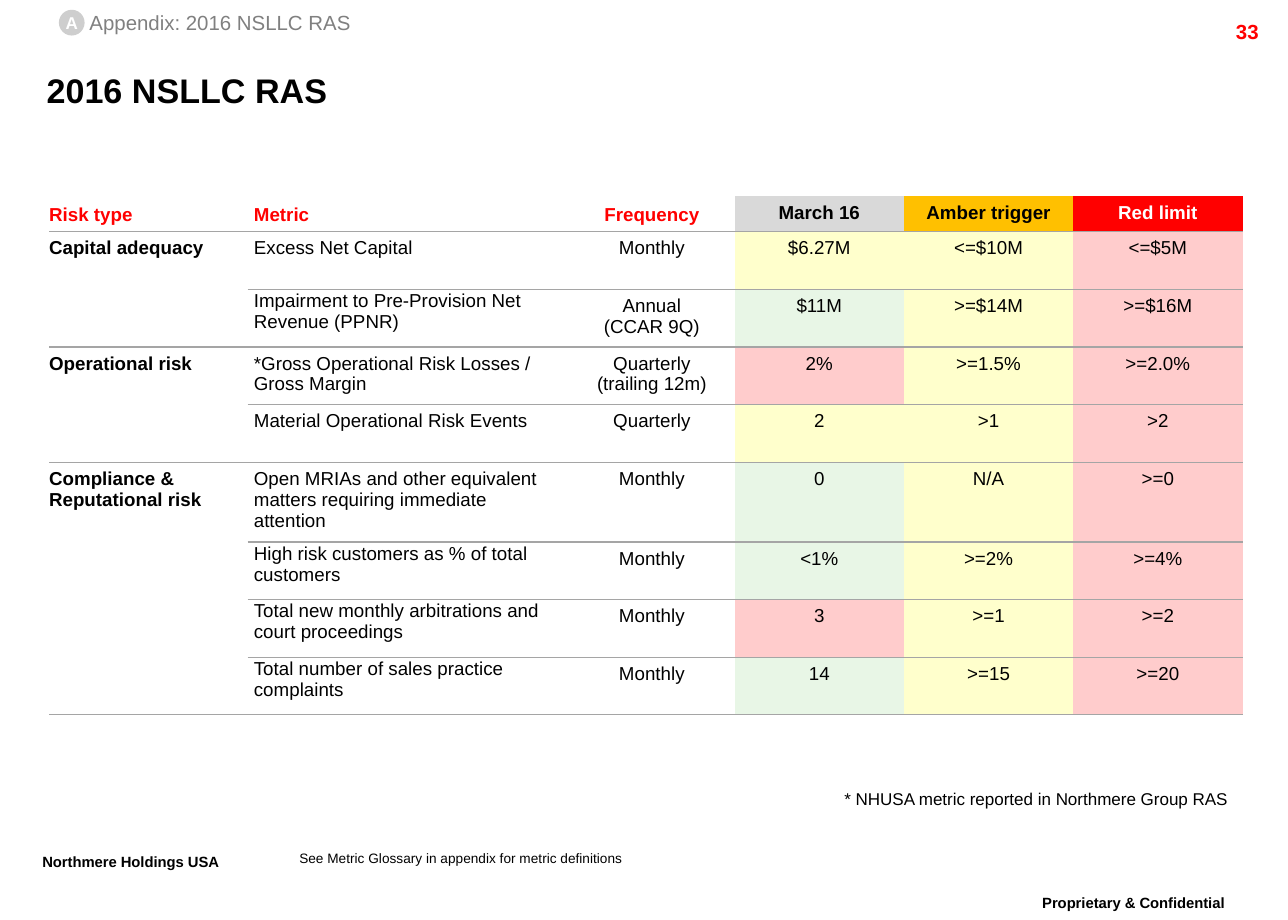
"""Build the 2016 risk appetite statement slide."""
from lxml.etree import SubElement
from pptx import Presentation
from pptx.dml.color import RGBColor
from pptx.enum.shapes import MSO_SHAPE
from pptx.enum.text import MSO_ANCHOR, MSO_AUTO_SIZE, PP_ALIGN
from pptx.oxml import parse_xml
from pptx.oxml.ns import nsdecls, qn
from pptx.util import Inches, Pt

BLACK = RGBColor(0x00, 0x00, 0x00)
WHITE = RGBColor(0xFF, 0xFF, 0xFF)
RED = RGBColor(0xFF, 0x00, 0x00)
AMBER = RGBColor(0xFF, 0xC0, 0x00)
SILVER = RGBColor(0xD9, 0xD9, 0xD9)
BADGE_GRAY = RGBColor(0xCE, 0xCE, 0xCE)
TEXT_GRAY = RGBColor(0x80, 0x80, 0x80)
RULE_GRAY = RGBColor(0xA5, 0xA5, 0xA5)
PALE_GREEN = RGBColor(0xE8, 0xF6, 0xE6)
PALE_YELLOW = RGBColor(0xFF, 0xFF, 0xCC)
PALE_RED = RGBColor(0xFF, 0xCC, 0xCC)

LEFT, CENTER, RIGHT = PP_ALIGN.LEFT, PP_ALIGN.CENTER, PP_ALIGN.RIGHT
SIDES = ("margin_left", "margin_top", "margin_right", "margin_bottom")
NO_GRID_STYLE = "{2D5ABB26-0587-4C30-8999-92F81FD0307C}"
NO_INSETS = (0, 0, 0, 0)
BOX_INSETS = (0.1, 0.05, 0.1, 0.05)
CELL_INSETS = (0.05, 0.05, 0.05, 0.05)
LABEL_INSETS = (0, 0.05, 0.05, 0.05)
TIGHT_INSETS = (0.05, 0.01, 0.01, 0)

COLUMN_WIDTHS = (1.62, 2.62, 1.35, 1.38, 1.38, 1.38)
HEADER_HEIGHT, METRIC_HEIGHT, TALL_HEIGHT = 0.29, 0.47, 0.65
HEADERS = (
    ("Risk type", RED, None),
    ("Metric", RED, None),
    ("Frequency", RED, None),
    ("March 16", BLACK, SILVER),
    ("Amber trigger", BLACK, AMBER),
    ("Red limit", WHITE, RED),
)
RISK_TYPES = (
    ("Capital adequacy", 1, 2),
    ("Operational risk", 3, 4),
    ("Compliance & Reputational risk", 5, 8),
)
METRICS = (
    ("Excess Net Capital", "Monthly", "$6.27M", "<=$10M", "<=$5M", PALE_YELLOW),
    ("Impairment to Pre-Provision Net Revenue (PPNR)", "Annual\n(CCAR 9Q)",
     "$11M", ">=$14M", ">=$16M", PALE_GREEN),
    ("*Gross Operational Risk Losses / Gross Margin", "Quarterly\n(trailing 12m)",
     "2%", ">=1.5%", ">=2.0%", PALE_RED),
    ("Material Operational Risk Events", "Quarterly", "2", ">1", ">2", PALE_YELLOW),
    ("Open MRIAs and other equivalent matters requiring immediate attention",
     "Monthly", "0", "N/A", ">=0", PALE_GREEN),
    ("High risk customers as % of total customers", "Monthly",
     "<1%", ">=2%", ">=4%", PALE_GREEN),
    ("Total new monthly arbitrations and court proceedings", "Monthly",
     "3", ">=1", ">=2", PALE_RED),
    ("Total number of sales practice complaints", "Monthly",
     "14", ">=15", ">=20", PALE_GREEN),
)
TALL_ROW = 5
TIGHT_ROWS = (2, 6, 7, 8)


def apply(target, formats):
    """Set every attribute named in the dict."""
    for attribute, value in formats.items():
        setattr(target, attribute, value)


class SlideBuilder:
    """Holds the style and the current slide."""

    font_name = "Arial"

    def __init__(self, slide):
        """Keep the slide to draw on."""
        self.slide = slide

    def fill_text(self, frame, text, size, color, bold=False, align=LEFT,
                  spacing=None, raised=False):
        """Fill a text frame and format its paragraphs."""
        frame.text = text
        for paragraph in frame.paragraphs:
            apply(paragraph, {"alignment": align, "line_spacing": spacing})
            for run in paragraph.runs:
                apply(run.font, {"name": self.font_name, "size": Pt(size), "bold": bold})
                run.font.color.rgb = color
                if raised:
                    run._r.get_or_add_rPr().set("baseline", "30000")

    def inset(self, target, insets):
        """Set the four inner margins."""
        apply(target, {side: Inches(value) for side, value in zip(SIDES, insets)})

    def frame(self, frame, insets, wrap, anchor):
        """Set the layout of a text frame."""
        self.inset(frame, insets)
        apply(frame, {"word_wrap": wrap, "vertical_anchor": anchor,
                      "auto_size": MSO_AUTO_SIZE.NONE})

    def title(self, place, text):
        """Move and fill the title placeholder."""
        heading = self.slide.shapes.title
        apply(heading, dict(zip(("left", "top", "width", "height"), map(Inches, place))))
        self.fill_text(heading.text_frame, text, 20, BLACK, True)
        self.frame(heading.text_frame, NO_INSETS, True, MSO_ANCHOR.MIDDLE)

    def text(self, place, text, size, color=BLACK, insets=BOX_INSETS, wrap=True,
             anchor=MSO_ANCHOR.TOP, **formats):
        """Add a text box."""
        box = self.slide.shapes.add_textbox(*map(Inches, place))
        self.fill_text(box.text_frame, text, size, color, **formats)
        self.frame(box.text_frame, insets, wrap, anchor)

    def badge(self, place, letter):
        """Add a round section marker."""
        disc = self.slide.shapes.add_shape(MSO_SHAPE.OVAL, *map(Inches, place))
        disc.shadow.inherit = False
        disc.fill.solid()
        disc.fill.fore_color.rgb = BADGE_GRAY
        disc.line.fill.background()
        self.fill_text(disc.text_frame, letter, 10, WHITE, True, CENTER)
        self.frame(disc.text_frame, NO_INSETS, False, MSO_ANCHOR.MIDDLE)

    def rule_below(self, cell):
        """Draw the bottom border of a cell."""
        cell._tc.get_or_add_tcPr().insert(0, parse_xml(
            f'<a:lnB {nsdecls("a")} w="{Pt(0.75)}"><a:solidFill>'
            f'<a:srgbClr val="{RULE_GRAY}"/></a:solidFill></a:lnB>'))

    def cell(self, cell, text, color=BLACK, fill=None, bold=False, align=LEFT,
             insets=CELL_INSETS, anchor=MSO_ANCHOR.TOP):
        """Fill and format one table cell."""
        self.fill_text(cell.text_frame, text, 11, color, bold, align)
        self.inset(cell, insets)
        cell.vertical_anchor = anchor
        if fill is None:
            cell.fill.background()
        else:
            cell.fill.solid()
            cell.fill.fore_color.rgb = fill
        self.rule_below(cell)

    def risk_table(self, left, top):
        """Add the table of risk metrics and limits."""
        heights = [HEADER_HEIGHT] + [METRIC_HEIGHT] * len(METRICS)
        heights[TALL_ROW] = TALL_HEIGHT
        place = (left, top, sum(COLUMN_WIDTHS), sum(heights))
        table = self.slide.shapes.add_table(
            len(heights), len(COLUMN_WIDTHS), *map(Inches, place)).table
        apply(table, {"first_row": False, "horz_banding": False})
        properties = table._tbl.tblPr
        style = properties.find(qn("a:tableStyleId"))
        if style is None:
            style = SubElement(properties, qn("a:tableStyleId"))
        style.text = NO_GRID_STYLE
        for column, width in zip(table.columns, COLUMN_WIDTHS):
            column.width = Inches(width)
        for row, height in zip(table.rows, heights):
            row.height = Inches(height)

        for column, (header, color, fill) in enumerate(HEADERS):
            self.cell(table.cell(0, column), header, color, fill, True,
                      LEFT if column < 2 else CENTER,
                      CELL_INSETS if column else LABEL_INSETS,
                      MSO_ANCHOR.TOP if fill else MSO_ANCHOR.BOTTOM)
        for risk_type, first, last in RISK_TYPES:
            table.cell(first, 0).merge(table.cell(last, 0))
            self.cell(table.cell(first, 0), risk_type, bold=True, insets=LABEL_INSETS)
            self.rule_below(table.cell(last, 0))
        for row, (metric, *values, status) in enumerate(METRICS, 1):
            self.cell(table.cell(row, 1), metric,
                      insets=TIGHT_INSETS if row in TIGHT_ROWS else CELL_INSETS)
            fills = (None, status, PALE_YELLOW, PALE_RED)
            for column, (value, fill) in enumerate(zip(values, fills), 2):
                self.cell(table.cell(row, column), value, fill=fill, align=CENTER)


def main():
    """Assemble and save the slide."""
    deck = Presentation()
    apply(deck, {"slide_width": Inches(10.5), "slide_height": Inches(7.5)})
    page = SlideBuilder(deck.slides.add_slide(deck.slide_layouts[5]))
    footer = {"bold": True, "align": CENTER, "spacing": 0.86, "raised": True}

    page.text((8.15, 7.25, 2.18, 0.35), "Proprietary & Confidential", 15, **footer)
    page.text((0.11, 6.91, 1.91, 0.35), "Northmere Holdings USA", 15, wrap=False, **footer)
    page.text((9.36, 0.11, 1, 0.24), "33", 12, RED, bold=True, align=RIGHT)
    page.risk_table(0.4, 1.6)
    page.title((0.38, 0.49, 9.48, 0.48), "2016 NSLLC RAS")
    page.text((2.44, 6.93, 5.47, 0.13),
              "See Metric Glossary in appendix for metric definitions", 8, insets=NO_INSETS)
    page.text((6.78, 6.4, 3.33, 0.25), "* NHUSA metric reported in Northmere Group RAS",
              10, wrap=False, align=CENTER, spacing=0.86)
    page.badge((0.48, 0.08, 0.21, 0.21), "A")
    page.text((0.73, 0.08, 2.14, 0.2), "Appendix: 2016 NSLLC RAS", 12, TEXT_GRAY,
              NO_INSETS, False, MSO_ANCHOR.MIDDLE)
    deck.save("out.pptx")


if __name__ == "__main__":
    main()
